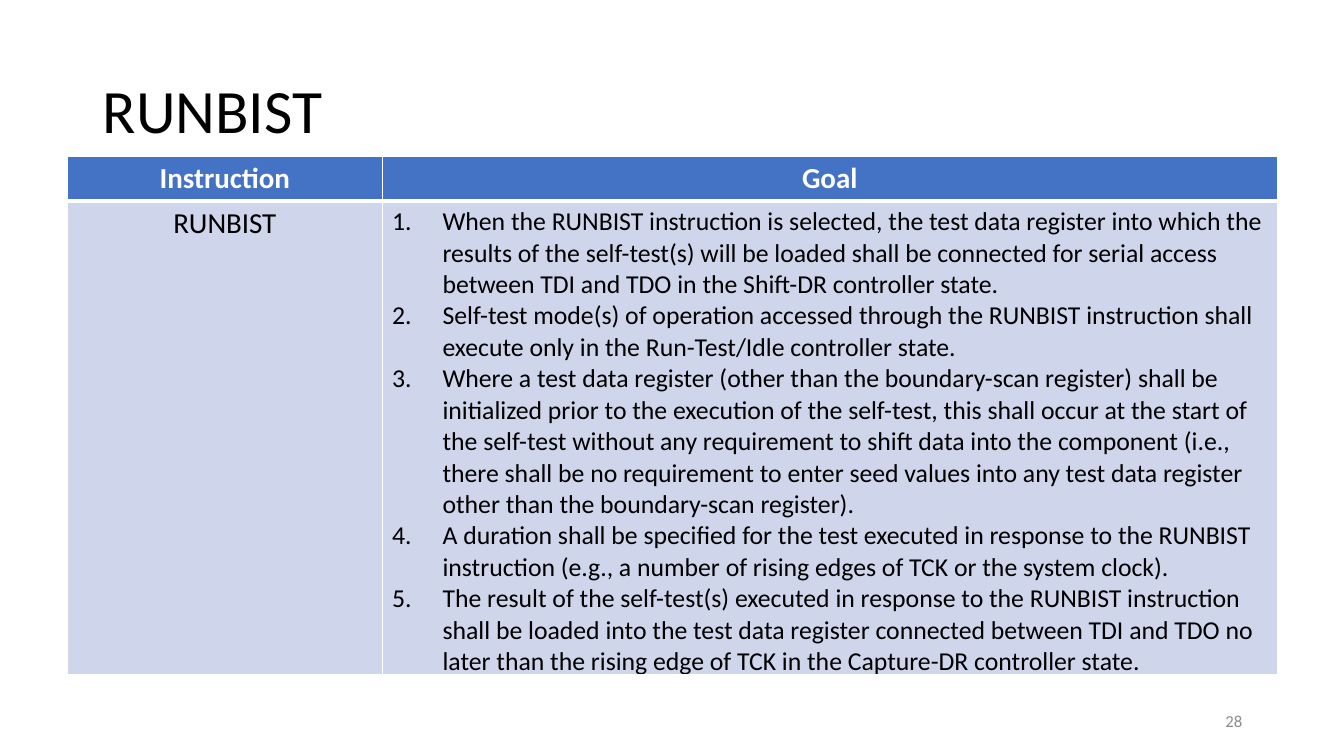
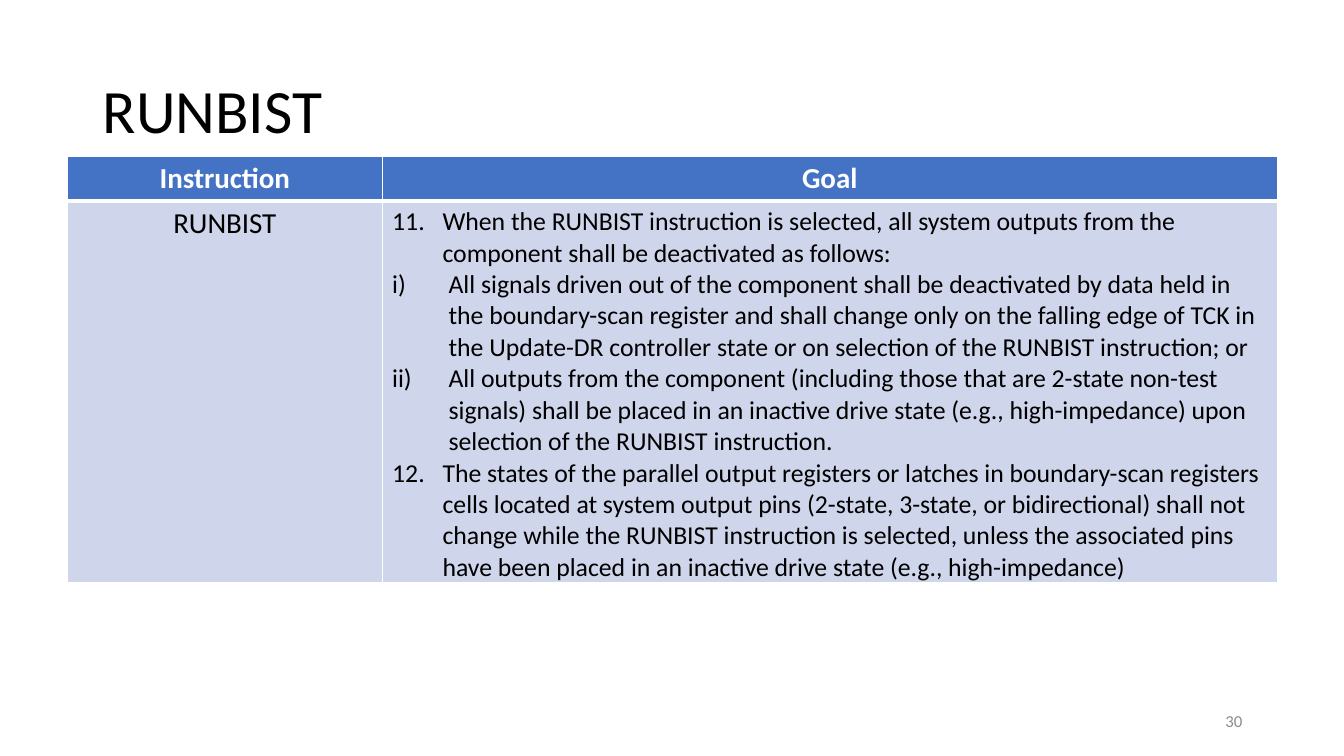
from dataclasses import dataclass

from lxml.etree import SubElement
from pptx import Presentation
from pptx.dml.color import RGBColor as RGB
from pptx.enum.text import MSO_ANCHOR as Anchor, PP_ALIGN as Align
from pptx.oxml.ns import qn
from pptx.util import Inches, Pt


@dataclass(frozen=True)
class Theme:
    font: str = "Calibri"
    black: str = "000000"
    white: str = "FFFFFF"
    header: str = "4472C4"
    body: str = "CFD5EA"
    muted: str = "8C8C8C"
    title_size: float = 44
    cell_size: float = 20.7
    goal_size: float = 18.4
    number_size: float = 12
    thin: float = 1
    thick: float = 3


@dataclass(frozen=True)
class Goal:
    text: str
    scheme: str = "arabicPeriod"
    start: int = 1
    indent: float = 0.5


@dataclass(frozen=True)
class InstructionSlide:
    name: str
    number: int
    goals: tuple[Goal, ...]


T = Theme()
COLUMNS = (3.12, 8.88)
ROW_HEIGHT = 0.41
ROMAN = {"scheme": "romanLcParenR", "indent": 0.56}

SLIDES = (
    InstructionSlide("RUNBIST", 28, (
        Goal("When the RUNBIST instruction is selected, the test data register into which "
             "the results of the self-test(s) will be loaded shall be connected for serial "
             "access between TDI and TDO in the Shift-DR controller state."),
        Goal("Self-test mode(s) of operation accessed through the RUNBIST instruction shall "
             "execute only in the Run-Test/Idle controller state."),
        Goal("Where a test data register (other than the boundary-scan register) shall be "
             "initialized prior to the execution of the self-test, this shall occur at the "
             "start of the self-test without any requirement to shift data into the component "
             "(i.e., there shall be no requirement to enter seed values into any test data "
             "register other than the boundary-scan register)."),
        Goal("A duration shall be specified for the test executed in response to the RUNBIST "
             "instruction (e.g., a number of rising edges of TCK or the system clock)."),
        Goal("The result of the self-test(s) executed in response to the RUNBIST instruction "
             "shall be loaded into the test data register connected between TDI and TDO no "
             "later than the rising edge of TCK in the Capture-DR controller state."),
    )),
    InstructionSlide("RUNBIST", 30, (
        Goal("When the RUNBIST instruction is selected, all system outputs from the component "
             "shall be deactivated as follows:", start=11),
        Goal("All signals driven out of the component shall be deactivated by data held in the "
             "boundary-scan register and shall change only on the falling edge of TCK in the "
             "Update-DR controller state or on selection of the RUNBIST instruction; or", **ROMAN),
        Goal("All outputs from the component (including those that are 2-state non-test signals) "
             "shall be placed in an inactive drive state (e.g., high-impedance) upon selection "
             "of the RUNBIST instruction.", **ROMAN),
        Goal("The states of the parallel output registers or latches in boundary-scan registers "
             "cells located at system output pins (2-state, 3-state, or bidirectional) shall not "
             "change while the RUNBIST instruction is selected, unless the associated pins have "
             "been placed in an inactive drive state (e.g., high-impedance)", start=12),
    )),
)


def write(p, text: str, *, size: float, color: str = T.black, bold: bool = False,
          align=Align.LEFT, spacing: float = 1.0) -> None:
    p.alignment = align
    p.line_spacing = spacing
    r = p.add_run()
    r.text = text
    r.font.name = T.font
    r.font.size = Pt(size)
    r.font.bold = bold
    r.font.color.rgb = RGB.from_string(color)


def add_text(s, text: str, left: float, top: float, width: float, height: float,
             **fmt) -> None:
    sp = s.shapes.add_textbox(Inches(left), Inches(top), Inches(width), Inches(height))
    tf = sp.text_frame
    tf.word_wrap = True
    tf.vertical_anchor = Anchor.MIDDLE
    write(tf.paragraphs[0], text, **fmt)


def style_cell(cell, fill: str, top: float, bottom: float) -> None:
    tc_pr = cell._tc.get_or_add_tcPr()
    for side, width in (("L", T.thin), ("R", T.thin), ("T", top), ("B", bottom)):
        ln = SubElement(tc_pr, qn(f"a:ln{side}"), w=str(Pt(width)))
        SubElement(SubElement(ln, qn("a:solidFill")), qn("a:srgbClr"), val=T.white)
    cell.fill.solid()
    cell.fill.fore_color.rgb = RGB.from_string(fill)


def number_paragraph(p, goal: Goal) -> None:
    p_pr = p._p.get_or_add_pPr()
    p_pr.set("marL", str(Inches(goal.indent)))
    p_pr.set("indent", str(-Inches(goal.indent)))
    bullet = SubElement(p_pr, qn("a:buAutoNum"), type=goal.scheme)
    if goal.start > 1:
        bullet.set("startAt", str(goal.start))


def add_goal_table(s, name: str, goals: tuple[Goal, ...]) -> None:
    table = s.shapes.add_table(2, len(COLUMNS), Inches(0.67), Inches(1.55),
                               Inches(sum(COLUMNS)), Inches(2 * ROW_HEIGHT)).table
    table.horz_banding = False
    for column, width in zip(table.columns, COLUMNS):
        column.width = Inches(width)
    for cell, label in zip(table.rows[0].cells, ("Instruction", "Goal")):
        style_cell(cell, T.header, T.thin, T.thick)
        write(cell.text_frame.paragraphs[0], label, size=T.cell_size, color=T.white,
              bold=True, align=Align.CENTER)
    for cell in table.rows[1].cells:
        style_cell(cell, T.body, T.thick, T.thin)
    write(table.cell(1, 0).text_frame.paragraphs[0], name, size=T.cell_size,
          align=Align.CENTER)
    tf = table.cell(1, 1).text_frame
    for i, goal in enumerate(goals):
        p = tf.add_paragraph() if i else tf.paragraphs[0]
        write(p, goal.text, size=T.goal_size)
        number_paragraph(p, goal)


def add_instruction_slide(prs, item: InstructionSlide) -> None:
    s = prs.slides.add_slide(prs.slide_layouts[6])
    add_text(s, item.name, 0.92, 0.4, 11.5, 1.45, size=T.title_size, spacing=0.9)
    add_goal_table(s, item.name, item.goals)
    add_text(s, str(item.number), 9.42, 6.95, 3, 0.4, size=T.number_size,
             color=T.muted, align=Align.RIGHT)


def main() -> None:
    prs = Presentation()
    prs.slide_width, prs.slide_height = Inches(13.33), Inches(7.5)
    for item in SLIDES:
        add_instruction_slide(prs, item)
    prs.save("out.pptx")


if __name__ == "__main__":
    main()
